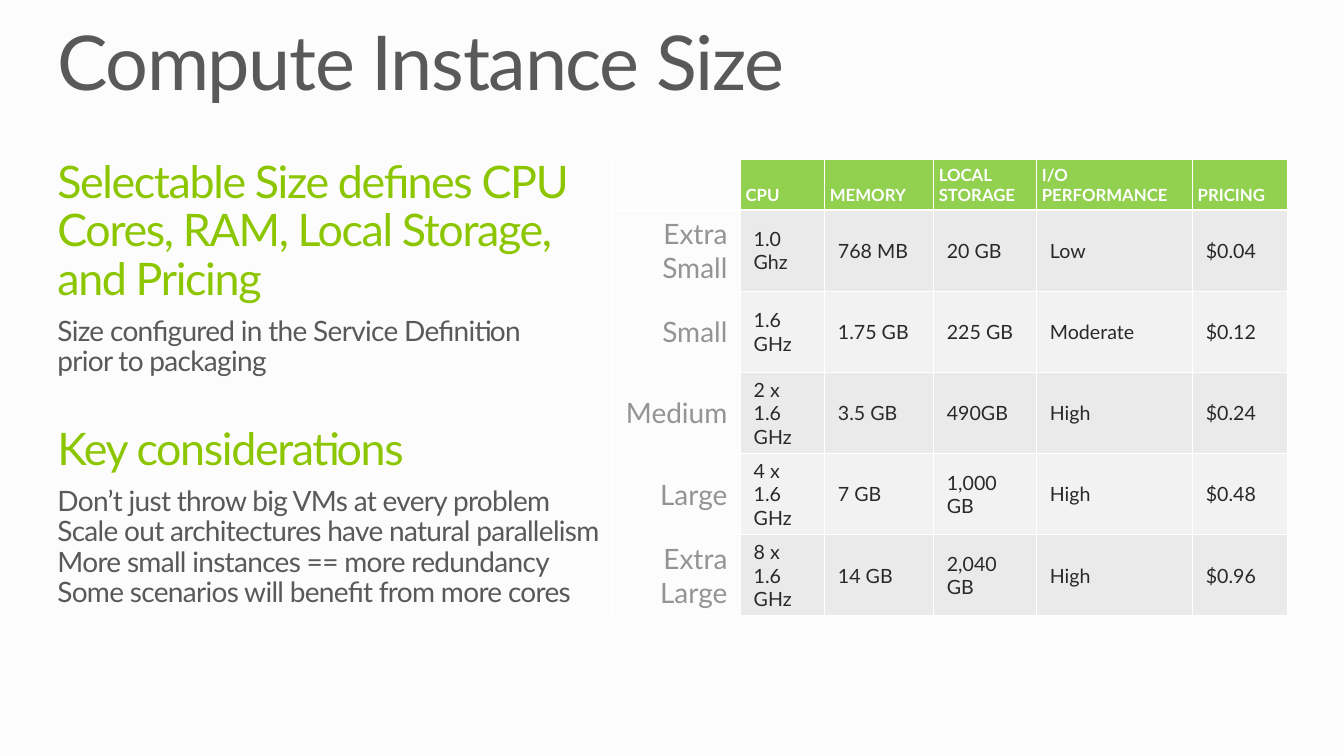
from dataclasses import dataclass, field
from typing import Any

from lxml.etree import SubElement
from pptx import Presentation
from pptx.dml.color import RGBColor
from pptx.enum.text import MSO_ANCHOR as Anchor, PP_ALIGN as Align
from pptx.oxml.ns import qn
from pptx.util import Pt

COLORS = {
    "background": "FCFCFC",
    "dark": "595959",
    "lime": "8CC600",
    "header": "92D050",
    "white": "FFFFFF",
    "size_name": "949494",
    "value": "292929",
    "odd_row": "EAEAEA",
    "even_row": "F2F2F2",
}
HEADINGS = ["", "CPU", "MEMORY", "LOCAL STORAGE", "I/O PERFORMANCE", "PRICING"]
INSTANCES = [
    ["Extra Small", "1.0 Ghz", "768 MB", "20 GB", "Low", "$0.04"],
    ["Small", "1.6 GHz", "1.75 GB", "225 GB", "Moderate", "$0.12"],
    ["Medium", "2 x 1.6 GHz", "3.5 GB", "490GB", "High", "$0.24"],
    ["Large", "4 x 1.6 GHz", "7 GB", "1,000 GB", "High", "$0.48"],
    ["Extra Large", "8 x 1.6 GHz", "14 GB", "2,040 GB", "High", "$0.96"],
]
COLUMN_WIDTHS = [92.5, 60.2, 77.8, 73.6, 111.4, 67.6]
HEADER_HEIGHT, INSTANCE_HEIGHT = 36, 58


@dataclass(frozen=True)
class TextStyle:
    size: float
    color: str
    tracking: float = 0
    bold: bool = False
    paragraph: dict[str, Any] = field(default_factory=dict)


@dataclass(frozen=True)
class CellStyle:
    text: TextStyle
    left_margin: float
    anchor: Any


@dataclass(frozen=True)
class Line:
    text: str
    style: TextStyle


TITLE = TextStyle(54, "dark", -1, paragraph={"line_spacing": 0.9})
TOPIC = TextStyle(32, "lime", -1,
                  paragraph={"line_spacing": 0.9, "space_after": Pt(9)})
NEXT_TOPIC = TextStyle(32, "lime", -1,
                       paragraph=TOPIC.paragraph | {"space_before": Pt(34.6)})
DETAIL = TextStyle(20, "dark", -0.5, paragraph={"line_spacing": 0.9})

HEADER_CELL = CellStyle(TextStyle(12, "white", bold=True), 3.6, Anchor.BOTTOM)
NAME_CELL = CellStyle(
    TextStyle(20, "size_name", paragraph={"alignment": Align.RIGHT}),
    3.6, Anchor.MIDDLE)
VALUE_CELL = CellStyle(TextStyle(14, "value"), 9.4, Anchor.MIDDLE)

CONSIDERATIONS = [
    Line("Selectable Size defines CPU Cores, RAM, Local Storage, \vand Pricing", TOPIC),
    Line("Size configured in the Service Definition \vprior to packaging", DETAIL),
    Line("Key considerations", NEXT_TOPIC),
    Line("Don’t just throw big VMs at every problem", DETAIL),
    Line("Scale out architectures have natural parallelism", DETAIL),
    Line("More small instances == more redundancy", DETAIL),
    Line("Some scenarios will benefit from more cores", DETAIL),
]


def rgb(name: str) -> RGBColor:
    return RGBColor.from_string(COLORS[name])


def set_all(target: Any, values: dict[str, Any]) -> None:
    for attribute, value in values.items():
        setattr(target, attribute, value)


def write_paragraph(paragraph: Any, text: str, style: TextStyle) -> None:
    paragraph.text = text
    set_all(paragraph, style.paragraph)
    for run in paragraph.runs:
        set_all(run.font, {"name": "Lato", "size": Pt(style.size), "bold": style.bold})
        run.font.color.rgb = rgb(style.color)
        if style.tracking:
            run._r.get_or_add_rPr().set("spc", str(round(style.tracking * 100)))


def add_text(slide: Any, left: float, top: float, width: float, height: float,
             lines: list[Line]) -> None:
    frame = slide.shapes.add_textbox(Pt(left), Pt(top), Pt(width), Pt(height)).text_frame
    set_all(frame, {"word_wrap": True, "margin_left": 0, "margin_top": 0,
                    "margin_right": 0, "margin_bottom": 0})
    for index, line in enumerate(lines):
        paragraph = frame.add_paragraph() if index else frame.paragraphs[0]
        write_paragraph(paragraph, line.text, line.style)


def add_white_borders(cell: Any) -> None:
    properties = cell._tc.get_or_add_tcPr()
    for side in ("lnL", "lnR", "lnT", "lnB"):
        border = SubElement(properties, qn(f"a:{side}"), w=str(Pt(1)))
        fill = SubElement(border, qn("a:solidFill"))
        SubElement(fill, qn("a:srgbClr"), val=COLORS["white"])


def fill_cell(cell: Any, text: str, style: CellStyle, fill: str | None) -> None:
    set_all(cell, {"margin_left": Pt(style.left_margin), "margin_right": Pt(9.4),
                   "margin_top": Pt(3.6), "margin_bottom": Pt(3.6),
                   "vertical_anchor": style.anchor})
    write_paragraph(cell.text_frame.paragraphs[0], text, style.text)
    add_white_borders(cell)
    if fill:
        cell.fill.solid()
        cell.fill.fore_color.rgb = rgb(fill)
    else:
        cell.fill.background()


def add_instance_table(slide: Any, left: float, top: float) -> None:
    rows = [HEADINGS, *INSTANCES]
    heights = [HEADER_HEIGHT] + [INSTANCE_HEIGHT] * len(INSTANCES)
    table = slide.shapes.add_table(
        len(rows), len(HEADINGS), Pt(left), Pt(top),
        Pt(sum(COLUMN_WIDTHS)), Pt(sum(heights))).table
    set_all(table, {"first_row": False, "horz_banding": False})
    for column, width in zip(table.columns, COLUMN_WIDTHS):
        column.width = Pt(width)
    for row, height in zip(table.rows, heights):
        row.height = Pt(height)
    for r, texts in enumerate(rows):
        band = "header" if r == 0 else "odd_row" if r % 2 else "even_row"
        for c, text in enumerate(texts):
            style = HEADER_CELL if r == 0 else VALUE_CELL if c else NAME_CELL
            fill_cell(table.cell(r, c), text, style, band if c else None)


def main() -> None:
    deck = Presentation()
    set_all(deck, {"slide_width": Pt(960), "slide_height": Pt(540)})
    slide = deck.slides.add_slide(deck.slide_layouts[6])
    slide.background.fill.solid()
    slide.background.fill.fore_color.rgb = rgb("background")
    add_text(slide, 41, 18, 878, 59, [Line("Compute Instance Size", TITLE)])
    add_text(slide, 41, 114, 398, 328, CONSIDERATIONS)
    add_instance_table(slide, 436.5, 114)
    deck.save("out.pptx")


if __name__ == "__main__":
    main()
